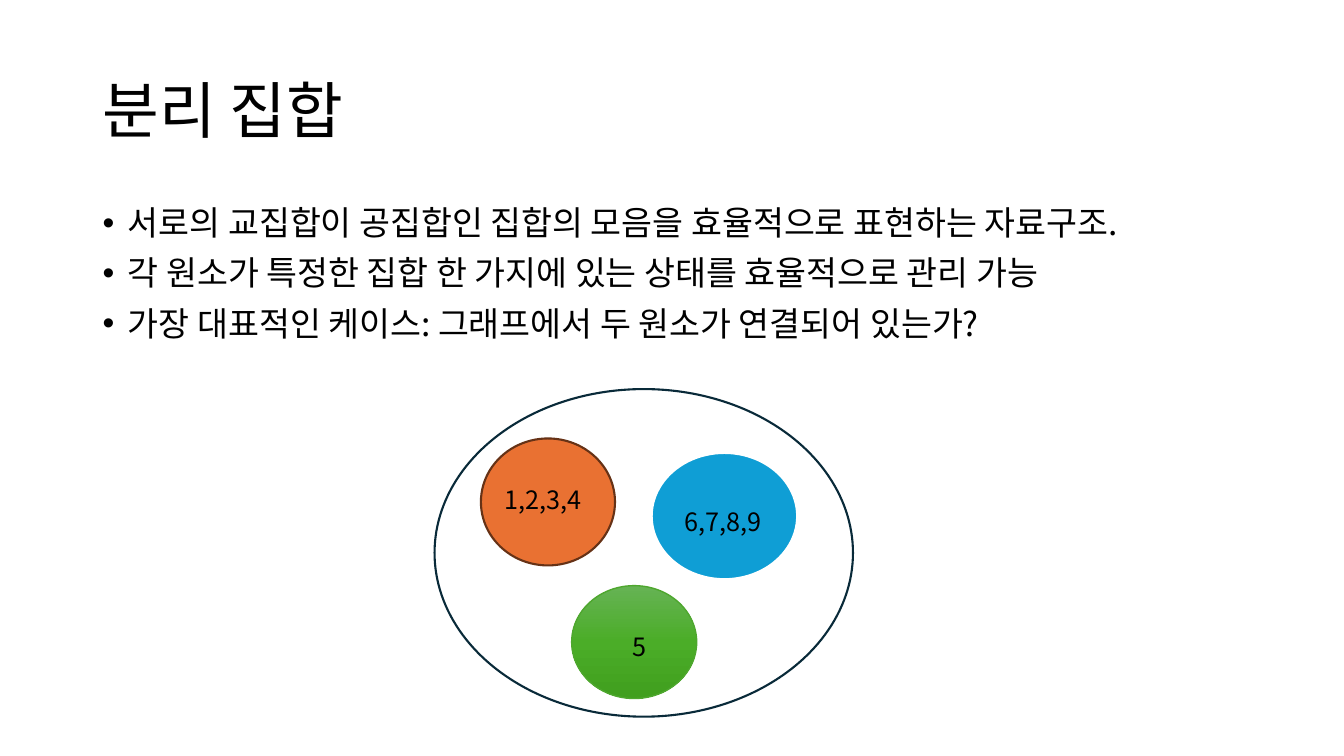
"""Build the disjoint set slide."""
import copy

from lxml import etree
from pptx import Presentation
from pptx.dml.color import RGBColor
from pptx.enum import shapes, text
from pptx.oxml import ns
from pptx.util import Inches, Pt

FONT = "Noto Sans CJK KR"
BLACK = RGBColor(0x00, 0x00, 0x00)
WHITE = RGBColor(0xFF, 0xFF, 0xFF)
ORANGE = RGBColor(0xE9, 0x71, 0x32)
BROWN = RGBColor(0x66, 0x32, 0x16)
BLUE = RGBColor(0x0F, 0x9E, 0xD5)
GREEN = RGBColor(0x4E, 0xA7, 0x2E)
NAVY = RGBColor(0x09, 0x2A, 0x39)
GREEN_STOPS = [
    (0, RGBColor(0x66, 0xB3, 0x54)),
    (0.5, RGBColor(0x4B, 0xAD, 0x28)),
    (1, RGBColor(0x40, 0x9F, 0x1E)),
]

TITLE = "분리 집합"
BULLETS = [
    "서로의 교집합이 공집합인 집합의 모음을 효율적으로 표현하는 자료구조.",
    "각 원소가 특정한 집합 한 가지에 있는 상태를 효율적으로 관리 가능",
    "가장 대표적인 케이스: 그래프에서 두 원소가 연결되어 있는가?",
]
ELLIPSES = [
    ((4.77, 4.35, 1.33, 1.26), ORANGE, BROWN, 1.5),
    ((6.46, 4.49, 1.45, 1.26), BLUE, WHITE, 2),
    ((5.67, 5.81, 1.24, 1.12), GREEN_STOPS, GREEN, 1),
    ((4.31, 3.86, 4.15, 3.25), None, NAVY, 1.5),
]
LABELS = [
    ("1,2,3,4", (4.91, 4.76, 1.04, 0.4)),
    ("6,7,8,9", (6.69, 4.97, 1, 0.4)),
    ("5", (6.17, 6.21, 0.58, 0.4)),
]


def add_text(slide, lines, box, size=18, anchor=text.MSO_ANCHOR.TOP,
             line_spacing=None, space_before=0, bullet=None):
    frame = slide.shapes.add_textbox(*map(Inches, box)).text_frame
    frame.word_wrap = True
    frame.vertical_anchor = anchor
    for index, line in enumerate(lines):
        paragraph = frame.paragraphs[0] if index == 0 else frame.add_paragraph()
        if bullet:
            properties = paragraph._p.get_or_add_pPr()
            properties.set("marL", str(Inches(0.25)))
            properties.set("indent", str(Inches(-0.25)))
            etree.SubElement(properties, ns.qn("a:buFont"), typeface="Arial")
            etree.SubElement(properties, ns.qn("a:buChar"), char=bullet)
        if line_spacing:
            paragraph.line_spacing = line_spacing
        paragraph.space_before = Pt(space_before if index else 0)
        run = paragraph.add_run()
        run.text = line
        run.font.size = Pt(size)
        run.font.color.rgb = BLACK
        run.font.name = FONT
        etree.SubElement(run._r.get_or_add_rPr(), ns.qn("a:ea"), typeface=FONT)


def fill_gradient(fill, colors):
    fill.gradient()
    fill.gradient_angle = 270
    stop_list = fill.gradient_stops[0]._gs.getparent()
    stop_list.insert(1, copy.deepcopy(stop_list[0]))
    for stop, (position, color) in zip(fill.gradient_stops, colors):
        stop.position = position
        stop.color.rgb = color


def add_ellipse(slide, box, fill, line, width):
    shape = slide.shapes.add_shape(shapes.MSO_SHAPE.OVAL, *map(Inches, box))
    shape.shadow.inherit = False
    if fill is None:
        shape.fill.background()
    elif fill is GREEN_STOPS:
        fill_gradient(shape.fill, fill)
    else:
        shape.fill.solid()
        shape.fill.fore_color.rgb = fill
    shape.line.color.rgb = line
    shape.line.width = Pt(width)


def main():
    presentation = Presentation()
    presentation.slide_width = Inches(13.33)
    presentation.slide_height = Inches(7.5)
    slide = presentation.slides.add_slide(presentation.slide_layouts[6])
    add_text(slide, [TITLE], (0.92, 0.4, 11.5, 1.45), size=44,
             anchor=text.MSO_ANCHOR.MIDDLE, line_spacing=0.9)
    add_text(slide, BULLETS, (0.92, 2, 11.5, 4.76), size=24,
             line_spacing=0.9, space_before=10, bullet="•")
    for ellipse in ELLIPSES:
        add_ellipse(slide, *ellipse)
    for label, box in LABELS:
        add_text(slide, [label], box)
    presentation.save("out.pptx")


if __name__ == "__main__":
    main()
